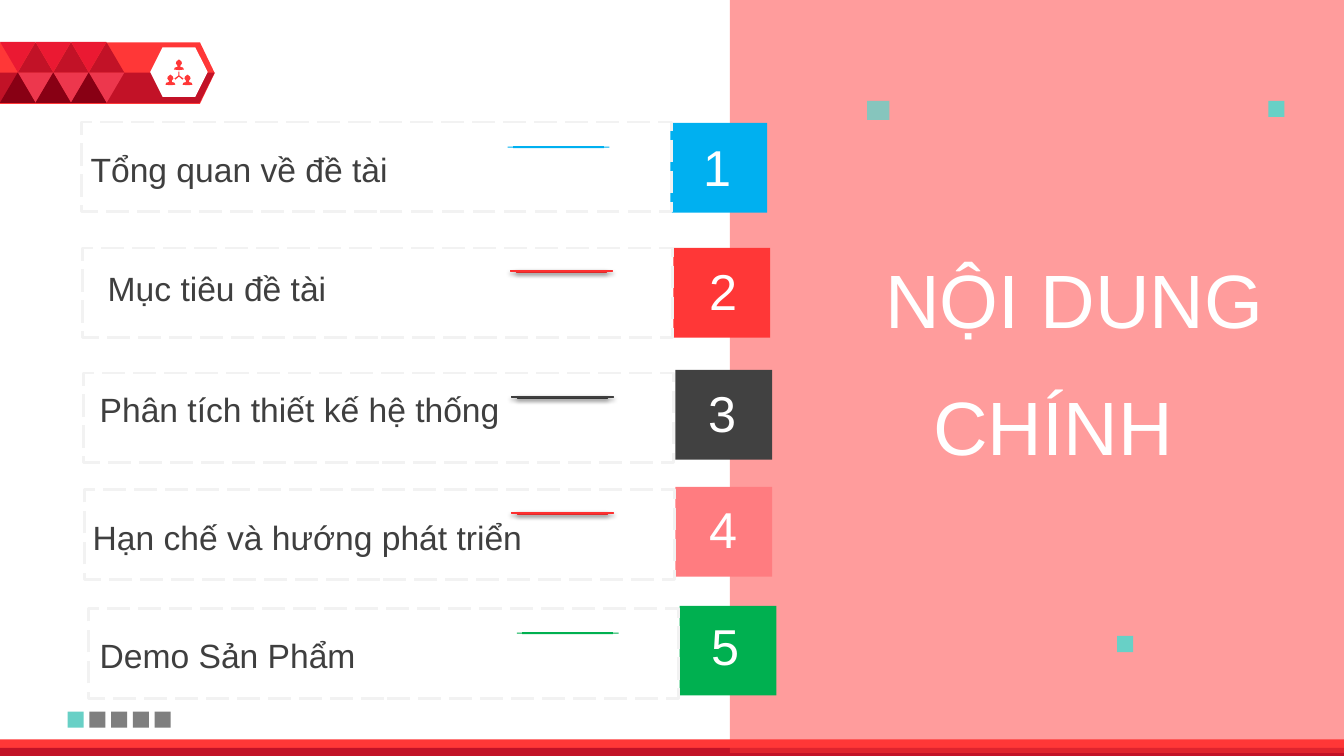
import pptx
import pptx.dml.color
import pptx.enum.dml
import pptx.enum.shapes
import pptx.enum.text
import pptx.oxml.ns
import pptx.util
from lxml import etree

SHAPE = pptx.enum.shapes.MSO_SHAPE
ALIGN = pptx.enum.text.PP_ALIGN
COLUMNS, ROWS = 133.3, 75
RED, DARK_RED, TEAL, GREY, WHITE = "FF3737", "C21227", "68D0C6", "7F7F7F", "FFFFFF"


def colour(value):
    return pptx.dml.color.RGBColor.from_string(value)


def add_node(parent, tag, **attributes):
    return etree.SubElement(parent, pptx.oxml.ns.qn(tag), attributes)


class Slide:
    font = "Arial"
    ink = "3F3F3F"

    def __init__(self, deck):
        self.cell_width = deck.slide_width / COLUMNS
        self.cell_height = deck.slide_height / ROWS
        self.page = deck.slides.add_slide(deck.slide_layouts[5])

    def point(self, column, row):
        return round(column * self.cell_width), round(row * self.cell_height)

    def paint(self, box, fill, opacity=100):
        box.shadow.inherit = False
        box.line.fill.background()
        if fill is None:
            box.fill.background()
            return
        box.fill.solid()
        box.fill.fore_color.rgb = colour(fill)
        if opacity < 100:
            tint = box.element.spPr.find(".//" + pptx.oxml.ns.qn("a:srgbClr"))
            add_node(tint, "a:alpha", val=str(opacity * 1000))

    def shape(self, kind, left, top, width, height, fill, opacity=100, turn=0, adjust=None):
        box = self.page.shapes.add_shape(kind, *self.point(left, top), *self.point(width, height))
        self.paint(box, fill, opacity)
        box.rotation = turn
        if adjust is not None:
            box.adjustments[0] = adjust
        return box

    def outline(self, contours, fill):
        builder = None
        for contour in contours:
            points = [self.point(*corner) for corner in contour]
            if builder is None:
                builder = self.page.shapes.build_freeform(*points[0])
            else:
                builder.move_to(*points[0])
            builder.add_line_segments(points[1:], close=True)
        self.paint(builder.convert_to_shape(), fill)

    def letter(self, box, words, size, ink, align):
        frame = box.text_frame
        frame.word_wrap = True
        frame.auto_size = pptx.enum.text.MSO_AUTO_SIZE.SHAPE_TO_FIT_TEXT
        frame.vertical_anchor = pptx.enum.text.MSO_ANCHOR.TOP
        para = frame.paragraphs[0]
        para.alignment = align
        span = para.add_run()
        span.text = words
        span.font.name = self.font
        span.font.size = pptx.util.Pt(size)
        span.font.color.rgb = colour(ink)

    def text(self, words, left, top, width, height, size, ink=ink, align=ALIGN.LEFT):
        box = self.page.shapes.add_textbox(*self.point(left, top), *self.point(width, height))
        self.letter(box, words, size, ink, align)

    def title(self, words, left, top, width, height, size, ink, align):
        box = self.page.shapes.title
        box.left, box.top = self.point(left, top)
        box.width, box.height = self.point(width, height)
        self.letter(box, words, size, ink, align)
        box.element.getparent().append(box.element)

    def frame(self, left, top):
        box = self.shape(SHAPE.RECTANGLE, left, top, 58.5, 8.9, None)
        box.line.color.rgb = colour("F2F2F2")
        box.line.width = pptx.util.Pt(2)
        box.line.dash_style = pptx.enum.dml.MSO_LINE.LONG_DASH

    def stripe(self, centre, middle, fill, glow):
        for thickness, length in ((0.2, 9), (0.1, 10.1)):
            bar = self.shape(SHAPE.RECTANGLE, centre - thickness / 2, middle - length / 2,
                             thickness, length, fill, turn=270)
            if glow:
                self.raise_bar(bar, *glow)

    def raise_bar(self, bar, start, end, edge):
        bar.fill.gradient()
        bar.fill.gradient_angle = 90
        for stop, value in zip(bar.fill.gradient_stops, (start, end)):
            stop.color.rgb = colour(value)
        bar.line.color.rgb = colour(edge)
        bar.line.width = pptx.util.Pt(0.75)
        effects = bar.element.spPr.find(pptx.oxml.ns.qn("a:effectLst"))
        shade = add_node(effects, "a:outerShdw", blurRad=str(pptx.util.Pt(3.1)),
                         dist=str(pptx.util.Pt(1.8)), dir="5400000", rotWithShape="0")
        add_node(add_node(shade, "a:srgbClr", val="000000"), "a:alpha", val="35000")


def draw_banner(slide):
    slide.shape(SHAPE.PENTAGON, 0, 4.2, 21.3, 6.1, RED, adjust=0.24)
    slide.outline([[(0, 7.2), (21.3, 7.2), (19.8, 10.2), (0, 10.2)]], DARK_RED)
    slide.shape(SHAPE.HEXAGON, 14.9, 4.7, 5.7, 4.9, WHITE, adjust=0.25)

    half = [(0, 0), (0.25, 0.2), (0.3, 0.4), (0.15, 0.6), (0.15, 0.75), (0.4, 0.8), (0.5, 1), (0.1, 1.05)]
    body = half + [(-across, down) for across, down in reversed(half[1:])]
    people = [[(left + across, top + down) for across, down in body]
              for left, top in ((17.75, 5.9), (16.9, 7.4), (18.6, 7.4))]
    links = [(17.7, 7.1), (17.8, 7.1), (17.8, 7.5), (18.2, 7.8), (18.1, 7.9),
             (17.75, 7.6), (17.4, 7.9), (17.3, 7.8), (17.7, 7.5)]
    slide.outline(people + [links], RED)

    facets = ((0, 4.15, 180, "EB1932"), (1.77, 4.2, 0, DARK_RED),
              (1.77, 7.2, 180, "ED374D"), (0, 7.2, 0, "880014"))
    for repeat in range(3):
        for left, top, turn, fill in facets:
            slide.shape(SHAPE.ISOSCELES_TRIANGLE, left + repeat * 3.52, top, 3.52, 3, fill, turn=turn)


def draw_backdrop(slide):
    slide.shape(SHAPE.RECTANGLE, 0, 73.35, COLUMNS, 1.6, RED)
    slide.shape(SHAPE.RECTANGLE, 0, 74.2, COLUMNS, 0.8, DARK_RED)
    slide.shape(SHAPE.RECTANGLE, 72.4, -0.3, 60.9, 75, RED, opacity=49)
    slide.shape(SHAPE.RECTANGLE, 86, 10, 2.2, 1.9, TEAL, opacity=80)
    for left, top in ((110.8, 63.1), (125.8, 10)):
        slide.shape(SHAPE.RECTANGLE, left, top, 1.6, 1.6, TEAL)
    for step in range(5):
        slide.shape(SHAPE.RECTANGLE, 6.7 + step * 2.16, 70.6, 1.6, 1.6, GREY if step else TEAL)


def draw_topics(slide):
    red_glow = ("D11111", "FF1313", "FD3030")
    dark_glow = ("2F2F2F", "3F3F3F", "3F3F3F")
    topics = (
        ("Tổng quan về đề tài", "00B0F0", "00B0F0", None,
         (66.5, 12.2), (67.7, 13), (8, 14.3), (8.1, 12.1), (55.4, 14.6)),
        ("Mục tiêu đề tài", RED, RED, red_glow,
         (66.8, 24.6), (68.3, 25.3), (9.7, 26.1), (8.2, 24.6), (55.7, 26.9)),
        ("Phân tích thiết kế hệ thống", "414141", "414141", dark_glow,
         (67, 36.7), (68.2, 37.4), (8.9, 38.1), (8.3, 37), (55.8, 39.4)),
        ("Hạn chế và hướng phát triển", "FF7C80", RED, red_glow,
         (67, 48.3), (68.3, 48.9), (8.2, 50.8), (8.4, 48.6), (55.8, 50.9)),
        ("Demo Sản Phẩm", "00B050", "00B050", None,
         (67.4, 60.1), (68.5, 60.5), (8.9, 62.5), (8.8, 60.4), (56.3, 62.8)),
    )
    for number, topic in enumerate(topics, 1):
        words, fill, accent, glow, tile, digit, label, border, stripe = topic
        slide.shape(SHAPE.RECTANGLE, *tile, 9.6, 8.9, fill)
        slide.text(str(number), *digit, 7, 7.1, 36, WHITE, ALIGN.CENTER)
        slide.stripe(*stripe, accent, glow)
        slide.frame(*border)
        slide.text(words, *label, 53.1, 5, 24)


def main():
    deck = pptx.Presentation()
    deck.slide_width = pptx.util.Inches(13.33)
    deck.slide_height = pptx.util.Inches(7.5)
    slide = Slide(deck)
    draw_banner(slide)
    draw_backdrop(slide)
    slide.title("NỘI DUNG", 59.6, 24.6, 66.7, 10.1, 54, WHITE, ALIGN.RIGHT)
    slide.text("CHÍNH", 50.6, 37.2, 66.7, 10.1, 54, WHITE, ALIGN.RIGHT)
    draw_topics(slide)
    deck.save("out.pptx")


if __name__ == "__main__":
    main()
